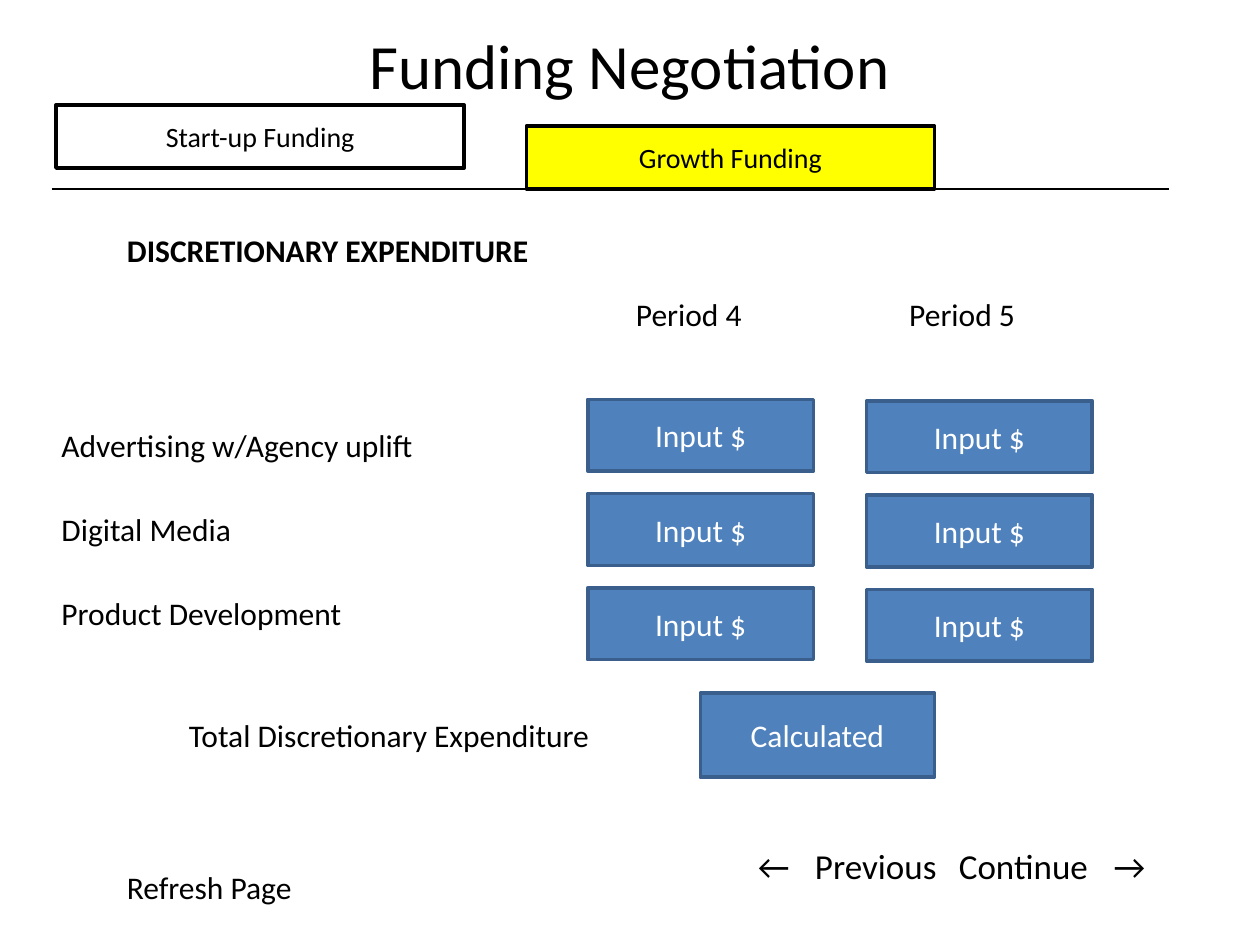
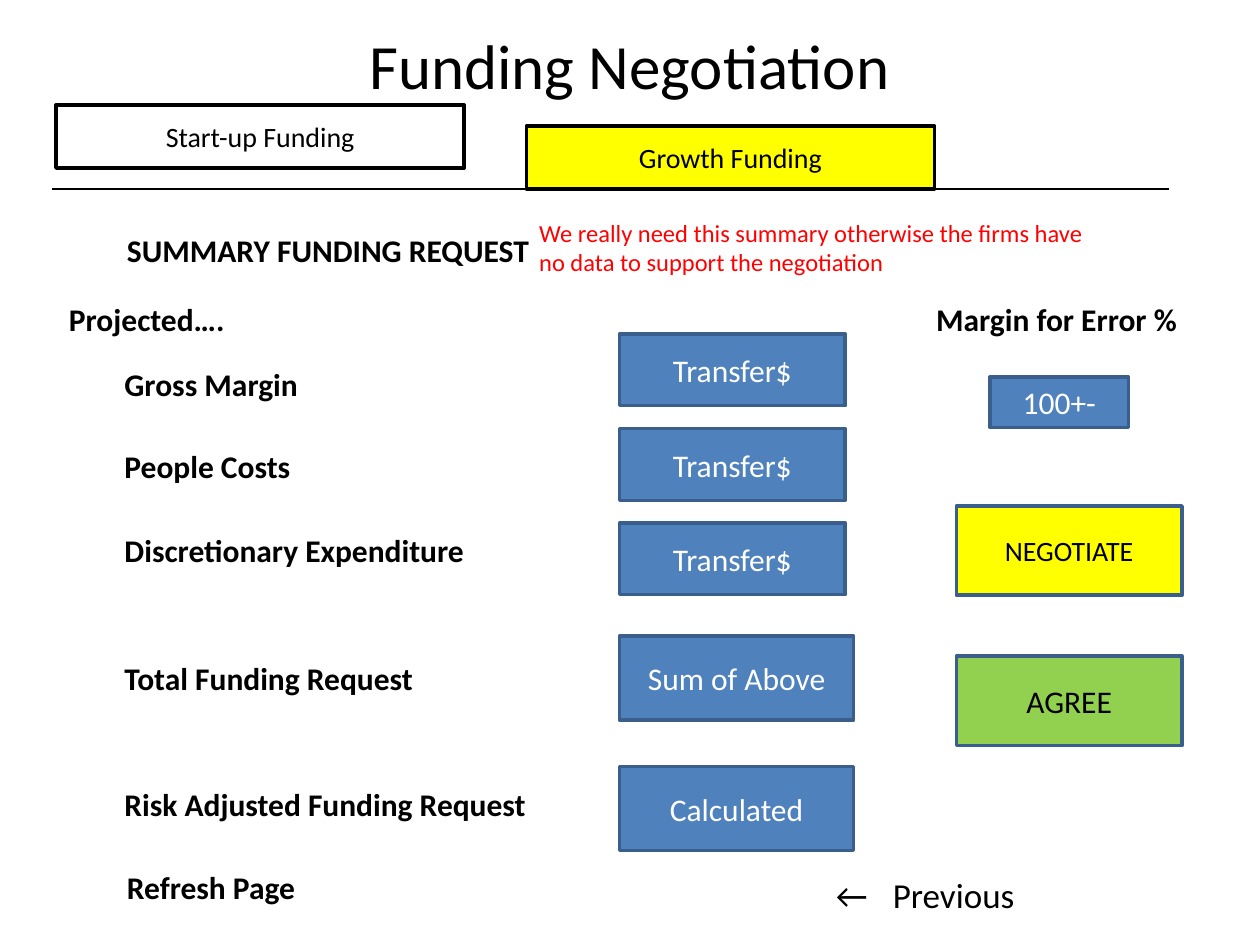
import dataclasses

import pptx
import pptx.dml.color
import pptx.enum.shapes
import pptx.enum.text
import pptx.oxml.ns
import pptx.util
from lxml import etree
from pptx.util import Cm, Pt

TITLE_ONLY_LAYOUT = 5
ALIGN = pptx.enum.text.PP_ALIGN
ANCHOR = pptx.enum.text.MSO_ANCHOR
FIT = pptx.enum.text.MSO_AUTO_SIZE


@dataclasses.dataclass(frozen=True)
class Theme:
    font: str = "Calibri"
    ink: str = "000000"
    paper: str = "FFFFFF"
    field: str = "4F81BD"
    field_edge: str = "3A5F8C"
    highlight: str = "FFFF00"
    agree: str = "92D050"
    remark: str = "FF0000"
    title_size: int = 36
    link_size: int = 20
    body_size: int = 18
    tab_size: int = 16
    remark_size: int = 14
    box_line: float = 2
    rule_line: float = 1.5


THEME = Theme()

# Field sizes: width, height in cm
CELL = (4.55, 1.45)
TOTAL = (4.72, 1.7)
DECISION = (4.55, 1.8)
MARGIN = (2.79, 1.02)
TAB = (8.23, 1.27)


def rgb(value):
    return pptx.dml.color.RGBColor.from_string(value)


def write(shape, text, size, color, bold=False, align=ALIGN.LEFT, **frame_format):
    """Put one formatted line of text into a shape."""
    frame = shape.text_frame
    for name, value in frame_format.items():
        setattr(frame, name, value)
    paragraph = frame.paragraphs[0]
    paragraph.alignment = align
    run = paragraph.add_run()
    run.text = text
    font_format = {"name": THEME.font, "size": Pt(size), "bold": bold}
    for name, value in font_format.items():
        setattr(run.font, name, value)
    run.font.color.rgb = rgb(color)


def add_title(slide, text):
    title = slide.shapes.title
    place = {"left": Cm(7.19), "top": Cm(0.41), "width": Cm(11.1), "height": Cm(1.8)}
    for name, value in place.items():
        setattr(title, name, value)
    write(title, text, THEME.title_size, THEME.ink, word_wrap=False,
          auto_size=FIT.SHAPE_TO_FIT_TEXT, vertical_anchor=ANCHOR.TOP)


def add_label(slide, text, left, top, width, size=THEME.body_size,
              color=THEME.ink, bold=False, height=1.02, wrap=False):
    label = slide.shapes.add_textbox(Cm(left), Cm(top), Cm(width), Cm(height))
    write(label, text, size, color, bold, word_wrap=wrap,
          auto_size=FIT.SHAPE_TO_FIT_TEXT)


def add_box(slide, text, left, top, extent, fill=THEME.field,
            edge=THEME.field_edge, color=THEME.paper, size=THEME.body_size):
    """Draw a captioned rectangle; fill None leaves it open."""
    width, height = extent
    box = slide.shapes.add_shape(pptx.enum.shapes.MSO_SHAPE.RECTANGLE,
                                 Cm(left), Cm(top), Cm(width), Cm(height))
    box.shadow.inherit = False
    if fill:
        box.fill.solid()
        box.fill.fore_color.rgb = rgb(fill)
    else:
        box.fill.background()
    box.line.color.rgb = rgb(edge)
    box.line.width = Pt(THEME.box_line)
    write(box, text, size, color, align=ALIGN.CENTER, word_wrap=True,
          vertical_anchor=ANCHOR.MIDDLE)


def add_rule(slide, left, right, top):
    rule = slide.shapes.add_connector(pptx.enum.shapes.MSO_CONNECTOR.STRAIGHT,
                                      Cm(left), Cm(top), Cm(right), Cm(top))
    rule.line.color.rgb = rgb(THEME.ink)
    rule.line.width = Pt(THEME.rule_line)
    etree.SubElement(rule._element.spPr, pptx.oxml.ns.qn("a:effectLst"))


def add_link(slide, text, left, top, width):
    add_label(slide, text, left, top, width, THEME.link_size, height=1.12)


def add_previous_link(slide, left, top):
    """Place the back arrow just left of its caption, on the same line."""
    add_link(slide, "←", left - 1.15, top, 1.15)
    add_link(slide, "Previous", left, top, 3)


def add_page(deck, heading, bold_refresh):
    """Start a slide with the title, funding tabs, heading and refresh label."""
    slide = deck.slides.add_slide(deck.slide_layouts[TITLE_ONLY_LAYOUT])
    add_title(slide, "Funding Negotiation")
    tab_format = {"edge": THEME.ink, "color": THEME.ink, "size": THEME.tab_size}
    add_box(slide, "Start-up Funding", 1.13, 2.12, TAB, None, **tab_format)
    add_box(slide, "Growth Funding", 10.61, 2.54, TAB, THEME.highlight, **tab_format)
    add_rule(slide, 1.04, 23.57, 3.81)
    add_label(slide, heading, 2.31, 4.53, 8.7, bold=True)
    add_label(slide, "Refresh Page", 2.31, 17.37, 3.9, bold=bold_refresh)
    return slide


def add_discretionary_page(deck):
    slide = add_page(deck, "DISCRETIONARY EXPENDITURE", False)
    expenses = (("Advertising w/Agency uplift", 7.7), ("Digital Media", 4.11),
                ("Product Development", 6.22))
    for row, (expense, width) in enumerate(expenses):
        add_label(slide, expense, 0.99, 8.46 + 1.7 * row, width)

    periods = (("Period 4", 12.57, 11.85, 8.05), ("Period 5", 18.08, 17.47, 8.08))
    for period, label_left, input_left, input_top in periods:
        add_label(slide, period, label_left, 5.82, 2.67)
        for row in range(len(expenses)):
            add_box(slide, "Input $", input_left, input_top + 1.9 * row, CELL)

    add_label(slide, "Total Discretionary Expenditure", 3.56, 14.3, 8.66)
    add_box(slide, "Calculated", 14.12, 13.97, TOTAL)
    add_previous_link(slide, 16.18, 16.89)
    add_link(slide, "Continue", 19.08, 16.89, 3.15)
    add_link(slide, "→", 22.2, 16.89, 1.15)


def add_summary_page(deck):
    slide = add_page(deck, "SUMMARY FUNDING REQUEST", True)
    add_label(slide, "Projected….", 1.14, 5.92, 3.68, bold=True)
    add_label(slide, "Margin for Error %", 18.62, 5.92, 5.41, bold=True)

    projections = (
        ("Gross Margin", 7.24, 4.04, "Transfer$", 6.73, CELL),
        ("People Costs", 8.89, 3.89, "Transfer$", 8.64, CELL),
        ("Discretionary Expenditure", 10.59, 7.42, "Transfer$", 10.54, CELL),
        ("Total Funding Request", 13.16, 6.38, "Sum of Above", 12.82, TOTAL),
        ("Risk Adjusted Funding Request", 15.7, 8.66, "Calculated", 15.45, TOTAL),
    )
    for projection, label_top, width, amount, amount_top, extent in projections:
        add_label(slide, projection, 2.26, label_top, width, bold=True)
        add_box(slide, amount, 12.49, amount_top, extent)

    add_box(slide, "100+-", 19.96, 7.6, MARGIN)
    add_box(slide, "NEGOTIATE", 19.28, 10.2, DECISION, THEME.highlight,
            color=THEME.ink, size=THEME.tab_size)
    add_box(slide, "AGREE", 19.28, 13.23, DECISION, THEME.agree, color=THEME.ink)
    add_previous_link(slide, 17.75, 17.48)
    add_label(slide, "We really need this summary otherwise the firms have "
              "no data to support the negotiation", 10.62, 4.27, 11.68,
              THEME.remark_size, THEME.remark, height=1.45, wrap=True)


def main():
    deck = pptx.Presentation()
    deck.slide_width, deck.slide_height = Cm(25.4), Cm(19.05)
    add_discretionary_page(deck)
    add_summary_page(deck)
    deck.save("out.pptx")


if __name__ == "__main__":
    main()
